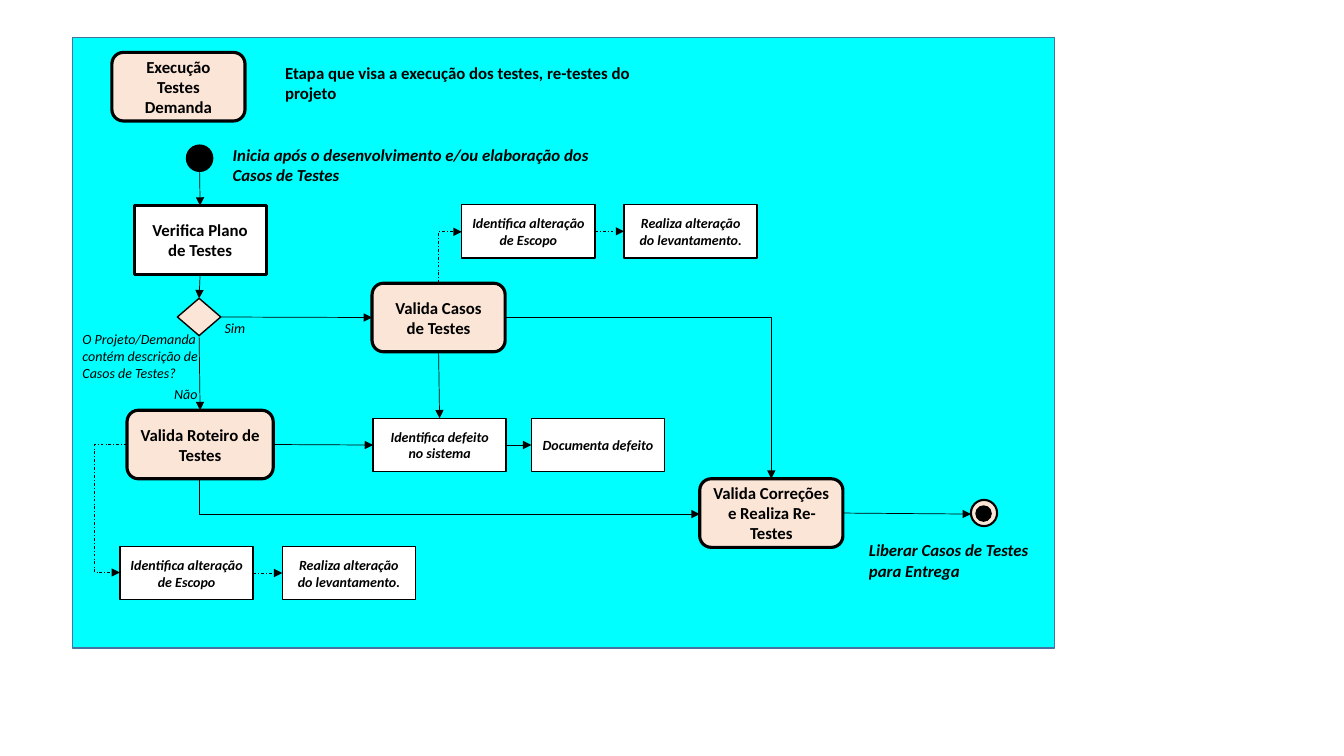
import pptx
import pptx.util
import pptx.dml.color
import pptx.enum.dml
import pptx.enum.shapes
import pptx.enum.text
import pptx.oxml.ns
import lxml.etree

Inches = pptx.util.Inches
Pt = pptx.util.Pt
RGB = pptx.dml.color.RGBColor.from_string
qn = pptx.oxml.ns.qn
Shape = pptx.enum.shapes.MSO_SHAPE
Link = pptx.enum.shapes.MSO_CONNECTOR
Align = pptx.enum.text.PP_ALIGN
Anchor = pptx.enum.text.MSO_ANCHOR
Fit = pptx.enum.text.MSO_AUTO_SIZE

# Theme: colours, line widths and type styles
theme = {
    "cyan": RGB("00FFFF"), "edge": RGB("43739E"), "ink": RGB("000000"),
    "peach": RGB("FBE5D6"), "white": RGB("FFFFFF"),
    "thin": Pt(0.5), "fine": Pt(1), "ring": Pt(1.5), "bold": Pt(2.25),
    "head": {"name": "Calibri", "size": Pt(12), "bold": True},
    "note": {"name": "Calibri", "size": Pt(12), "bold": True, "italic": True},
    "task": {"name": "Calibri", "size": Pt(10), "bold": True, "italic": True},
    "label": {"name": "Calibri", "size": Pt(10), "italic": True},
}

deck = pptx.Presentation()
deck.slide_width, deck.slide_height = Inches(13.33), Inches(7.5)
slide = deck.slides.add_slide(deck.slide_layouts[6])


def draw(host, kind, at, fill, width, edge="ink"):
    shape = host.add_shape(kind, *map(Inches, at))
    shape.shadow.inherit = False
    shape.fill.solid()
    shape.fill.fore_color.rgb = theme[fill]
    shape.line.color.rgb = theme[edge]
    shape.line.width = theme[width]
    return shape


def write(shape, text, style, align):
    frame = shape.text_frame
    frame.word_wrap = True
    frame.text = text
    for para in frame.paragraphs:
        para.alignment = align
        font = para.runs[0].font
        font.color.rgb = theme["ink"]
        for key, value in theme[style].items():
            setattr(font, key, value)


# Panel and start dot
draw(slide.shapes, Shape.RECTANGLE, (0.72, 0.37, 9.74, 6.06), "cyan", "fine", "edge")
draw(slide.shapes, Shape.OVAL, (1.85, 1.44, 0.26, 0.26), "ink", "fine")

# Stages, rounded unless plain
stages = [
    ("stage", "Execução Testes Demanda", 1.11, 0.52, 1.32),
    ("cases", "Valida Casos de Testes", 3.69, 2.81, 1.32),
    ("plan", "Verifica Plano de Testes", 1.33, 2.04, 1.31),
    ("fixes", "Valida Correções e Realiza Re-Testes", 6.94, 4.75, 1.42),
    ("script", "Valida Roteiro de Testes", 1.26, 4.07, 1.45),
]
nodes = {}
for key, text, left, top, width in stages:
    plain = key == "plan"
    kind = Shape.RECTANGLE if plain else Shape.ROUNDED_RECTANGLE
    box = draw(slide.shapes, kind, (left, top, width, 0.68),
               "white" if plain else "peach", "bold")
    box.text_frame.vertical_anchor = Anchor.MIDDLE
    write(box, text, "head", Align.CENTER)
    nodes[key] = box

# Tasks
scope = "Identifica alteração de Escopo"
survey = "Realiza alteração do levantamento."
tasks = [
    ("survey", survey, 6.19, 2.03),
    ("scope", scope, 4.58, 2.03),
    ("defect", "Identifica defeito no sistema", 3.7, 4.15),
    ("record", "Documenta defeito", 5.27, 4.15),
    ("survey2", survey, 2.8, 5.42),
    ("scope2", scope, 1.19, 5.42),
]
for key, text, left, top in tasks:
    box = draw(slide.shapes, Shape.RECTANGLE, (left, top, 1.32, 0.53), "white", "fine")
    box.text_frame.vertical_anchor = Anchor.MIDDLE
    write(box, text, "task", Align.CENTER)
    nodes[key] = box

# Decision and end dot
nodes["choice"] = draw(slide.shapes, Shape.FLOWCHART_DECISION,
                       (1.76, 2.96, 0.43, 0.37), "peach", "fine")
end = slide.shapes.add_group_shape()
draw(end.shapes, Shape.OVAL, (9.63, 4.96, 0.26, 0.26), "peach", "ring")
draw(end.shapes, Shape.OVAL, (9.68, 5.02, 0.15, 0.15), "ink", "fine")

# Free text
notes = [
    ("Etapa que visa a execução dos testes, re-testes do projeto", "head",
     (2.73, 0.57, 4.01, 0.5)),
    ("Inicia após o desenvolvimento e/ou elaboração dos Casos de Testes", "note",
     (2.21, 1.39, 4.07, 0.5)),
    ("Liberar Casos de Testes para Entrega", "note", (8.52, 5.31, 1.94, 0.5)),
    ("O Projeto/Demanda\ncontém descrição de\nCasos de Testes?", "label",
     (0.72, 3.23, 1.46, 0.61)),
    ("Sim", "label", (2.13, 3.12, 0.43, 0.27)),
    ("Não", "label", (1.63, 3.78, 0.43, 0.27)),
]
for text, style, at in notes:
    box = slide.shapes.add_textbox(*map(Inches, at))
    write(box, text, style, Align.LEFT)
    box.text_frame.auto_size = Fit.SHAPE_TO_FIT_TEXT

# Straight arrows: ends, joined node and side at each end, dashed
arrows = [
    ((1.98, 1.7, 1.98, 2.04), None, ("plan", 0), False),
    ((1.98, 2.72, 1.98, 2.96), ("plan", 2), ("choice", 0), False),
    ((1.98, 3.33, 1.98, 4.07), ("choice", 2), ("script", 0), False),
    ((2.2, 3.15, 3.69, 3.15), ("choice", 3), ("cases", 1), False),
    ((4.35, 3.49, 4.36, 4.15), ("cases", 2), ("defect", 0), False),
    ((2.71, 4.41, 3.7, 4.41), ("script", 3), ("defect", 1), False),
    ((5.01, 4.41, 5.27, 4.41), ("defect", 3), ("record", 1), False),
    ((2.51, 5.68, 2.8, 5.68), ("scope2", 3), ("survey2", 1), True),
    ((5.9, 2.3, 6.19, 2.3), ("scope", 3), ("survey", 1), True),
    ((8.36, 5.1, 9.63, 5.1), ("fixes", 3), None, False),
]
links = []
for ends, tail, head, dashed in arrows:
    link = slide.shapes.add_connector(Link.STRAIGHT, *map(Inches, ends))
    if tail:
        link.begin_connect(nodes[tail[0]], tail[1])
    if head:
        link.end_connect(nodes[head[0]], head[1])
    links.append((link, dashed))

# Bent arrows: ends, preset, turn in degrees, flips, bend position, dashed
bends = [
    ((4.35, 2.81, 4.58, 2.3), "bentConnector2", 90, "HV", None, True),
    ((1.26, 4.41, 1.19, 5.68), "bentConnector3", 180, "V", 457000, True),
    ((1.98, 4.75, 6.94, 5.1), "bentConnector2", 270, "H", None, False),
    ((5.01, 3.15, 7.65, 4.75), "bentConnector2", 0, "", None, False),
]
for (x1, y1, x2, y2), preset, turn, flips, bend, dashed in bends:
    wide, high = abs(x2 - x1), abs(y2 - y1)
    if turn in (90, 270):
        wide, high = high, wide
    link = slide.shapes.add_connector(Link.ELBOW, 0, 0, 0, 0)
    link.left, link.top = Inches((x1 + x2 - wide) / 2), Inches((y1 + y2 - high) / 2)
    link.width, link.height = Inches(wide), Inches(high)
    props = link._element.spPr
    frame = props.find(qn("a:xfrm"))
    frame.set("rot", str(turn * 60000))
    for flip in flips:
        frame.set("flip" + flip, "1")
    form = props.find(qn("a:prstGeom"))
    form.set("prst", preset)
    if bend:
        guide = lxml.etree.SubElement(form.find(qn("a:avLst")), qn("a:gd"))
        guide.set("name", "adj1")
        guide.set("fmla", f"val {bend}")
    links.append((link, dashed))

# Arrow format
for link, dashed in links:
    link.line.color.rgb = theme["ink"]
    link.line.width = theme["thin"]
    if dashed:
        link.line.dash_style = pptx.enum.dml.MSO_LINE.DASH_DOT
    props = link._element.spPr
    tip = lxml.etree.SubElement(props.find(qn("a:ln")), qn("a:tailEnd"))
    tip.set("type", "triangle")
    lxml.etree.SubElement(props, qn("a:effectLst"))

deck.save("out.pptx")
